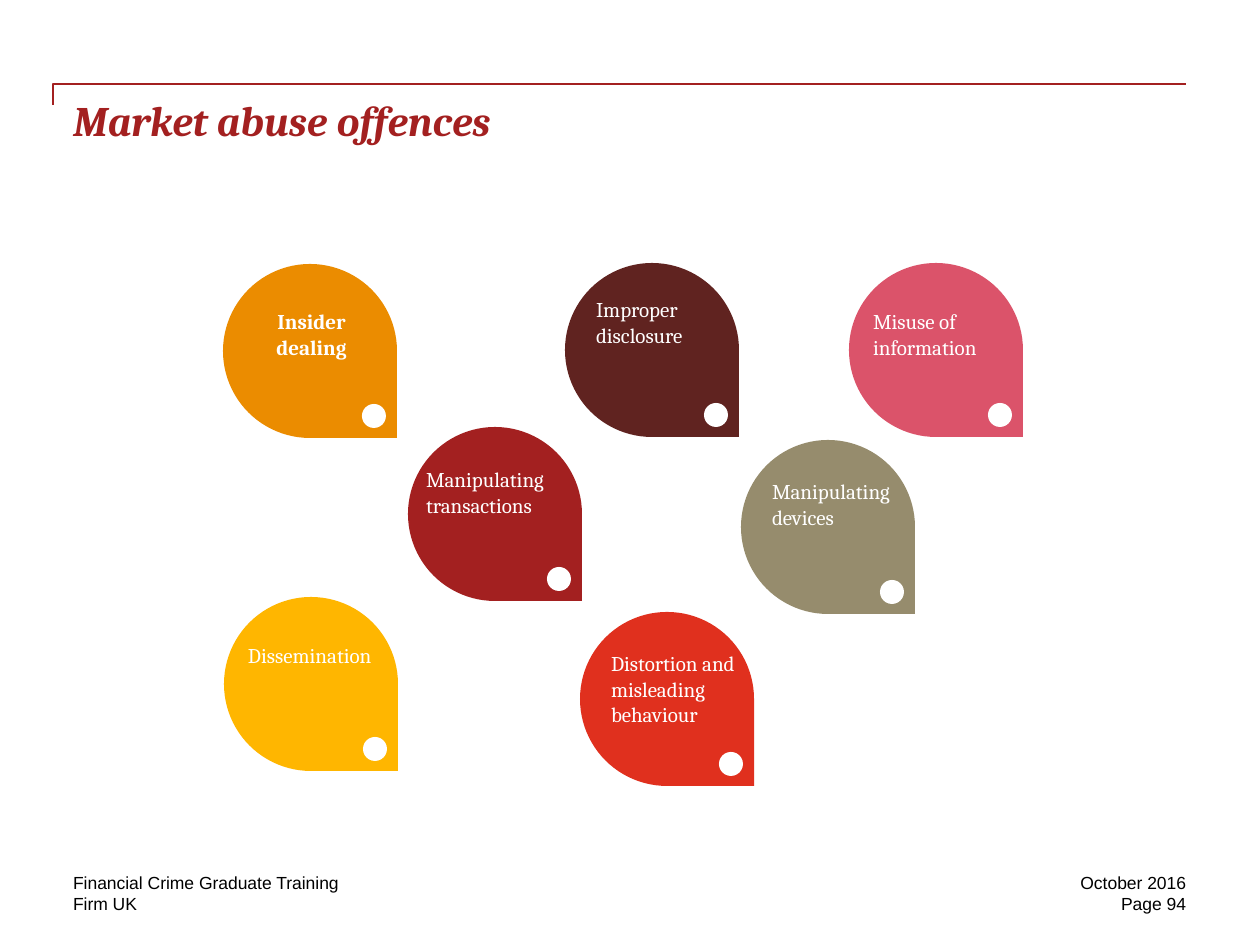
from pptx import Presentation
from pptx.dml.color import RGBColor
from pptx.enum.shapes import MSO_SHAPE
from pptx.enum.text import MSO_ANCHOR, PP_ALIGN
from pptx.util import Emu, Pt

TEARDROP, OVAL = MSO_SHAPE.TEAR, MSO_SHAPE.OVAL
LEFT, CENTER, RIGHT = PP_ALIGN.LEFT, PP_ALIGN.CENTER, PP_ALIGN.RIGHT
TOP, BOTTOM = MSO_ANCHOR.TOP, MSO_ANCHOR.BOTTOM

EMU_PER_PX = 914400 / 126
RED, WHITE, BLACK = "A32020", "FFFFFF", "000000"
DROP_SIZE, DOT_SIZE, DOT_OFFSET = 174, 24, 139

TITLE_FORMAT = {"name": "Cambria", "size": Pt(24), "bold": True, "italic": True}
LABEL_FORMAT = {"name": "Cambria", "size": Pt(12), "bold": False}
FOOTER_FORMAT = {"name": "Arial", "size": Pt(10)}

OFFENCES = [
    ("Improper disclosure", "602320", (565, 263), (31, 34)),
    ("Insider dealing", "EB8C00", (223, 264), (21, 45)),
    ("Manipulating devices", "968C6D", (741, 440), (31, 39)),
    ("Manipulating transactions", RED, (408, 427), (18, 40)),
    ("Misuse of information", "DB536A", (849, 263), (24, 46)),
    ("Distortion and misleading behaviour", "E0301E", (580, 612), (31, 39)),
    ("Dissemination", "FFB600", (224, 597), (24, 46)),
]
EMPHASISED = "Insider dealing"

FOOTERS = [
    ("Financial Crime Graduate Training", (73, 872, 725, 21), LEFT, BOTTOM),
    ("Firm UK", (73, 893, 357, 21), LEFT, TOP),
    ("October 2016", (976, 872, 210, 21), RIGHT, TOP),
    ("Page 94", (976, 893, 210, 21), RIGHT, TOP),
]


def px(length):
    return Emu(round(length * EMU_PER_PX))


def color(value):
    return RGBColor.from_string(value)


def add_text(shapes, text, area, text_format, hue, align=LEFT, anchor=TOP):
    box = shapes.add_textbox(*map(px, area))
    frame = box.text_frame
    frame.word_wrap = True
    frame.vertical_anchor = anchor
    for side in ("left", "top", "right", "bottom"):
        setattr(frame, f"margin_{side}", 0)
    para = frame.paragraphs[0]
    para.alignment = align
    span = para.add_run()
    span.text = text
    for name, value in text_format.items():
        setattr(span.font, name, value)
    span.font.color.rgb = color(hue)


def add_solid(shapes, kind, left, top, size, hue):
    shape = shapes.add_shape(kind, *map(px, (left, top, size, size)))
    shape.shadow.inherit = False
    shape.fill.solid()
    shape.fill.fore_color.rgb = color(hue)
    shape.line.fill.background()
    return shape


def add_offence(page, label, hue, corner, label_offset):
    left, top = corner
    shapes = page.shapes.add_group_shape().shapes
    drop = add_solid(shapes, TEARDROP, left, top, DROP_SIZE, hue)
    drop.rotation = 90
    add_solid(shapes, OVAL, left + DOT_OFFSET, top + DOT_OFFSET + 1, DOT_SIZE, WHITE)
    emphasised = label == EMPHASISED
    area = (left + label_offset[0], top + label_offset[1], 135, 84)
    add_text(shapes, label, area, {**LABEL_FORMAT, "bold": emphasised}, WHITE,
             CENTER if emphasised else LEFT)


def add_title_rule(page):
    builder = page.shapes.build_freeform(53, 105, scale=EMU_PER_PX)
    builder.add_line_segments([(53, 84), (1186, 84)], close=False)
    rule = builder.convert_to_shape()
    rule.shadow.inherit = False
    rule.fill.background()
    rule.line.color.rgb = color(RED)
    rule.line.width = Pt(1)


def main():
    deck = Presentation()
    deck.slide_width, deck.slide_height = px(1260), px(945)
    page = deck.slides.add_slide(deck.slide_layouts[6])
    add_title_rule(page)
    add_text(page.shapes, "Market abuse offences", (73, 95, 1113, 126), TITLE_FORMAT, RED)
    for offence in OFFENCES:
        add_offence(page, *offence)
    for text, area, align, anchor in FOOTERS:
        add_text(page.shapes, text, area, FOOTER_FORMAT, BLACK, align, anchor)
    deck.save("out.pptx")


if __name__ == "__main__":
    main()
